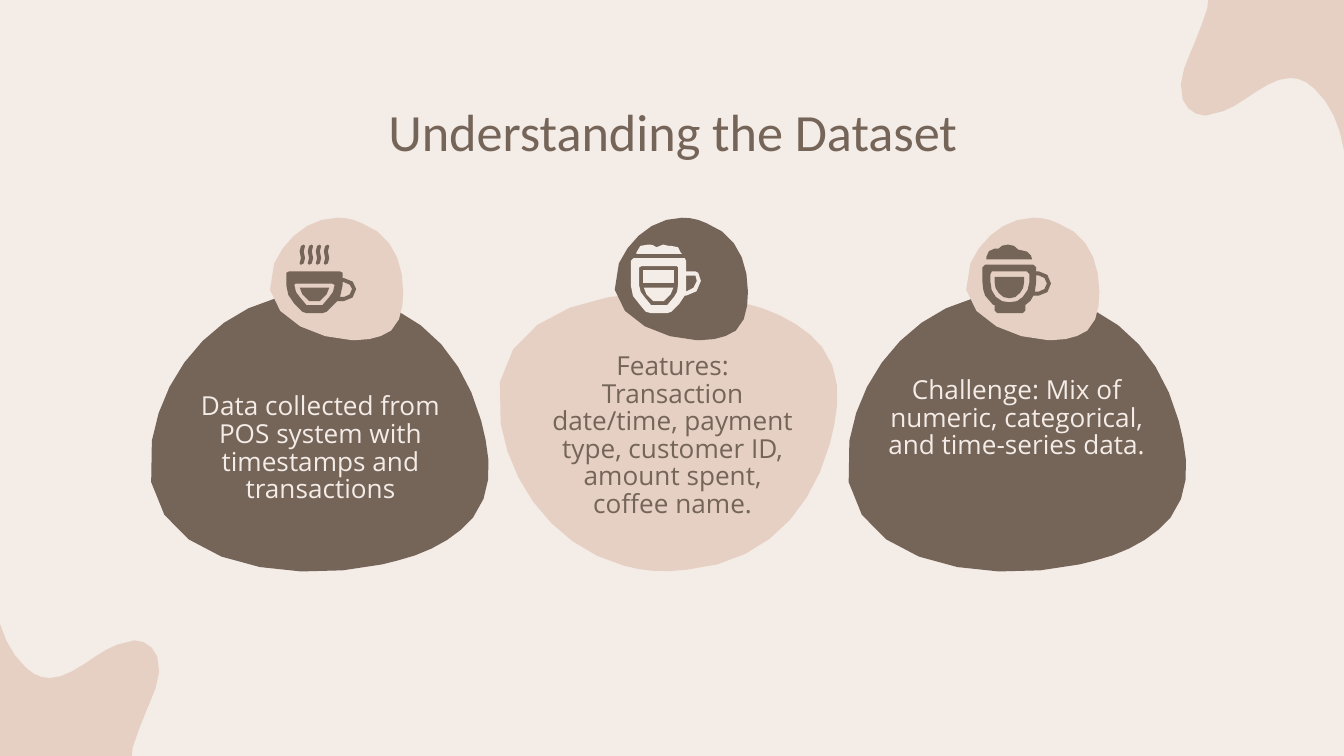
import math

from pptx import Presentation, util as u
from pptx.dml.color import RGBColor
from pptx.enum import text as t

CREAM = RGBColor(0xF4, 0xEC, 0xE7)
PINK = RGBColor(0xE5, 0xD0, 0xC3)
BROWN = RGBColor(0x75, 0x64, 0x58)

WIDTH = u.Inches(10)
HEIGHT = WIDTH * 9 // 16
COLS, ROWS = 1000, 562.5
UNIT = WIDTH / COLS

CORNER = """M 124 0 L 124 112 C 121 93 114 77 102 66 C 96 60 90 58 84 58
C 73 58 62 66 50 74 C 43 79 34 84 25 85 L 21 86 C 14 86 7 82 4 74
C 0 63 5 50 9 41 C 10 39 26 1 23 0 Z"""
CARD = """M 94 5 C 108 1 123 0 140 2 C 198 7 233 45 247 96 C 253 119 258 146 241 168
C 228 184 206 195 185 200 L 173 203 C 100 219 -15 202 2 111 C 10 62 45 18 94 5 Z"""
BADGE = """M 49 91 C 43 91 37 90 31 87 C 9 79 0 59 0 36 C 0 26 1 14 9 7
C 16 2 25 0 34 0 L 39 0 C 69 1 112 21 96 57 C 87 77 69 91 49 91 Z"""
STEAM = "M 3 0 L 1 1 L 0 5 L 1 10 L 0 14 L 1 15 L 3 14 L 4 10 L 3 5 L 4 1 Z"
BOWL = "M 0 0 L 2 5 L 7 10 L 15 10 L 20 5 L 22 0 Z"
CUP = """M 43 28 C 46 28 49 31 49 33 C 49 36 46 39 43 39 L 40 39 L 42 30 L 42 28 Z
M 34 29 L 36 30 C 36 34 34 37 32 39 L 27 45 L 15 45 L 10 39 C 8 37 6 34 6 30 L 7 29 Z
M 2 20 L 0 21 L 0 30 C 0 35 2 40 6 44 L 12 50 L 15 51 L 27 51 L 30 50 L 36 44 L 38 42
L 43 42 C 48 42 52 38 52 33 C 52 29 48 25 43 25 L 42 25 L 42 21 L 40 20 Z"""
FOAM = """M 13 0 C 11 0 8 0 7 1 C 5 3 4 4 4 6 L 4 7 L 38 7 L 37 6 C 37 4 36 3 35 2
L 30 1 L 28 1 L 24 0 L 19 2 C 17 0 15 0 13 0 Z"""
MUG = """M 48 23 L 49 27 C 49 31 45 34 41 35 L 41 23 Z
M 34 16 L 35 17 L 35 30 C 35 34 34 37 32 39 L 27 45 L 15 45 L 10 39 C 8 37 6 34 6 30
L 6 17 L 8 16 Z M 2 10 L 0 12 L 0 31 C 0 36 2 41 6 44 L 11 50 L 15 51 L 27 51 L 30 50
L 36 44 L 40 38 L 41 38 C 47 38 52 33 52 27 L 50 21 L 48 20 L 41 20 L 41 12 L 40 10 Z"""
BAND = "M 0 0 L 0 10 L 23 10 L 23 0 Z"
CREST = """M 19 0 C 16 0 13 1 12 3 L 9 3 C 6 3 3 6 3 9 L 3 11 L 37 11 L 36 8
C 35 6 32 4 28 4 L 27 4 C 25 1 22 0 19 0 Z"""
GLASS = """M 42 23 C 45 23 48 26 48 29 C 48 32 45 35 42 35 L 39 35 L 40 28 L 40 23 Z
M 33 20 L 35 22 L 35 28 C 35 32 33 36 30 39 C 28 42 24 43 20 43 C 16 43 13 42 10 39
C 7 36 6 32 6 28 L 6 22 L 7 20 Z M 2 15 L 0 17 L 0 28 C 0 32 1 35 2 38
C 4 40 6 43 8 45 L 9 45 L 9 49 L 11 51 L 30 51 L 32 49 L 32 45 C 35 43 37 41 38 38
L 42 38 C 47 38 51 34 51 29 C 51 24 47 20 42 20 L 40 20 L 40 17 L 38 15 Z"""
DRINK = """M 0 0 L 0 4 C 0 7 1 10 3 12 C 5 15 8 16 11 16 C 14 16 17 15 19 12
C 21 10 22 7 22 4 L 22 0 Z"""

HOT = [(STEAM, 10 + 6 * i, 0) for i in range(4)] + [(BOWL, 10, 32), (CUP, 0, 0)]
LATTE = [(FOAM, 0, 0), (MUG, 0, 0), (BOWL, 9.5, 32), (BAND, 9, 19)]
MOCHA = [(CREST, 0, 0), (GLASS, 0, 0), (DRINK, 9, 24)]


def bend(pts):
    steps = max(1, round(0.6 * math.sqrt(math.dist(pts[0], pts[3]))))
    for k in range(1, steps + 1):
        s = k / steps
        mix = ((1 - s) ** 3, 3 * s * (1 - s) ** 2, 3 * s * s * (1 - s), s ** 3)
        yield tuple(sum(m * v for m, v in zip(mix, axis)) for axis in zip(*pts))


def trace(data):
    rings = []
    for part in data.split("Z")[:-1]:
        ring = []
        for word in part.replace("C", "|").replace("L", "|").replace("M", "").split("|"):
            nums = [float(n) for n in word.split()]
            pts = list(zip(nums[::2], nums[1::2]))
            ring += pts if len(pts) == 1 else list(bend([ring[-1]] + pts))
        rings.append(ring)
    return rings


def draw(slide, data, left, top, fill, wide=None, high=None):
    pen = None
    for ring in trace(data):
        pts = [((left + (x if wide is None else wide - x)) * UNIT,
                (top + (y if high is None else high - y)) * UNIT) for x, y in ring]
        if pen is None:
            pen = slide.shapes.build_freeform(*pts[0], scale=1.0)
        else:
            pen.move_to(*pts[0])
        pen.add_line_segments(pts[1:], close=True)
    shape = pen.convert_to_shape()
    shape.shadow.inherit = False
    shape.fill.solid()
    shape.fill.fore_color.rgb = fill
    shape.line.fill.background()


def write(slide, words, box, font, size, color, lead=None, anchor=t.MSO_ANCHOR.TOP):
    frame = slide.shapes.add_textbox(*(round(n * UNIT) for n in box)).text_frame
    frame.word_wrap = True
    frame.vertical_anchor = anchor
    frame.margin_left = frame.margin_right = u.Inches(0.1)
    frame.margin_top = frame.margin_bottom = u.Inches(0.1)
    par = frame.paragraphs[0]
    par.text = words
    par.alignment = t.PP_ALIGN.CENTER
    par.line_spacing = lead
    par.font.name = font
    par.font.size = u.Pt(size)
    par.font.color.rgb = color


def corners(slide, wide, high):
    draw(slide, CORNER, COLS - wide, 0, PINK)
    draw(slide, CORNER, -3, ROWS - high, PINK, wide, high)


def card(slide, left, top, words, box, badge, icon, tones, high=None):
    fill, spot, ink, mark = tones
    draw(slide, CARD, left, top, fill, high=high)
    x, y, wide, tall = box
    write(slide, words, (left + x, top + y, wide, tall), "Open Sans", 14, ink, 0.88)
    draw(slide, BADGE, left + badge, top - 55, spot, 112, 91)
    for data, x, y in icon:
        draw(slide, data, left + badge + 25 + x, top - 35 + y, mark)


def main():
    deck = Presentation()
    deck.slide_width, deck.slide_height = WIDTH, HEIGHT
    slide = deck.slides.add_slide(deck.slide_layouts[6])
    slide.background.fill.solid()
    slide.background.fill.fore_color.rgb = CREAM
    corners(slide, 124, 112)
    write(slide, "Understanding the Dataset", (79, 59, 843, 76), "Calibri", 28, BROWN,
          anchor=t.MSO_ANCHOR.MIDDLE)
    dark = (BROWN, PINK, CREAM, BROWN)
    light = (PINK, BROWN, BROWN, CREAM)
    cards = [
        ("Data collected from POS system with timestamps and transactions",
         (22, 66, 211, 83), 77, HOT, dark),
        ("Features: Transaction date/time, payment type, customer ID, amount spent, coffee name.",
         (24.5, 36, 211, 83), 74, LATTE, light, 209),
        ("Challenge: Mix of numeric, categorical, and time-series data.",
         (15, 54, 223, 106), 76, MOCHA, dark),
    ]
    for i, parts in enumerate(cards):
        card(slide, 111 + 259.5 * i, 217, *parts)
    deck.save("out.pptx")


if __name__ == "__main__":
    main()
